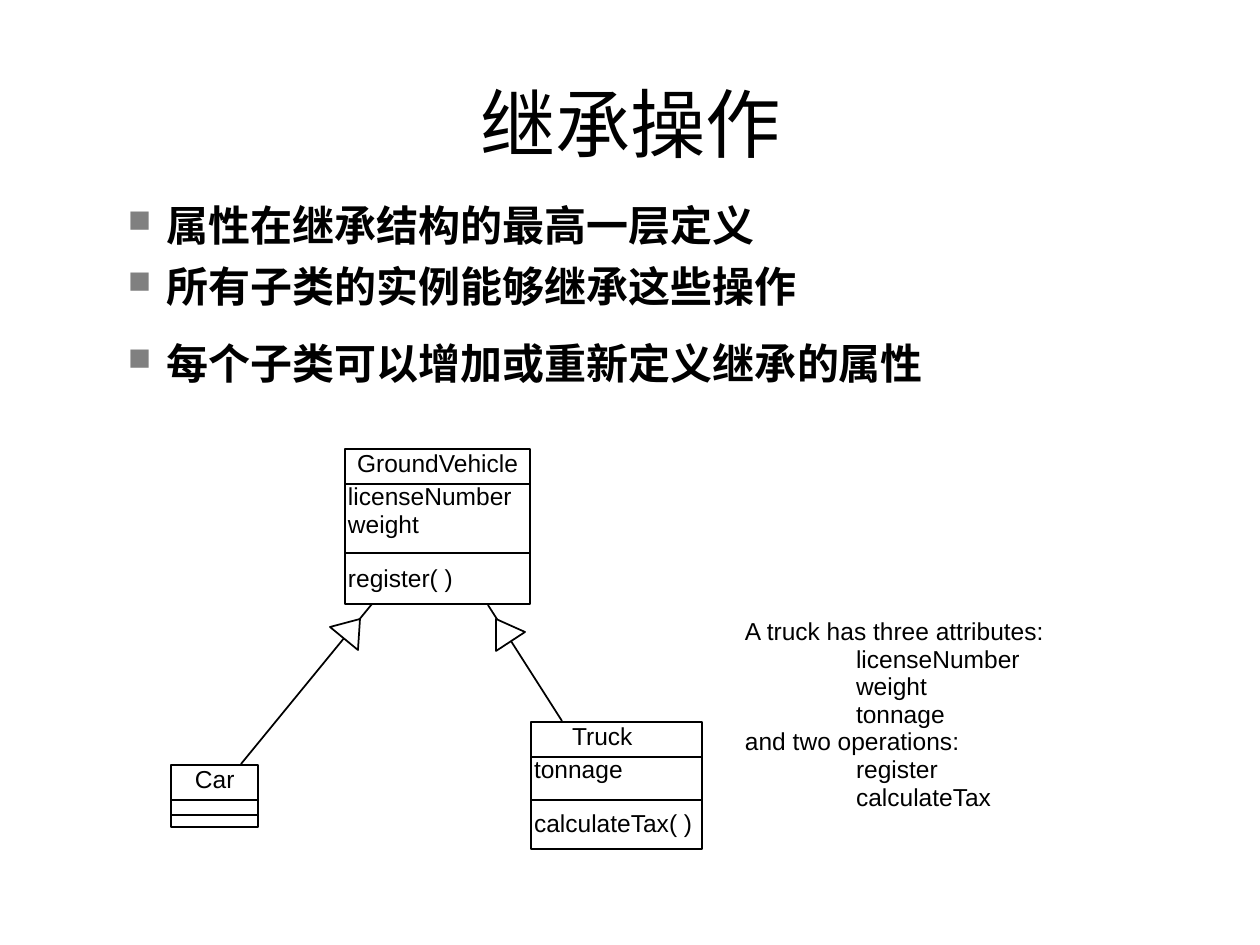
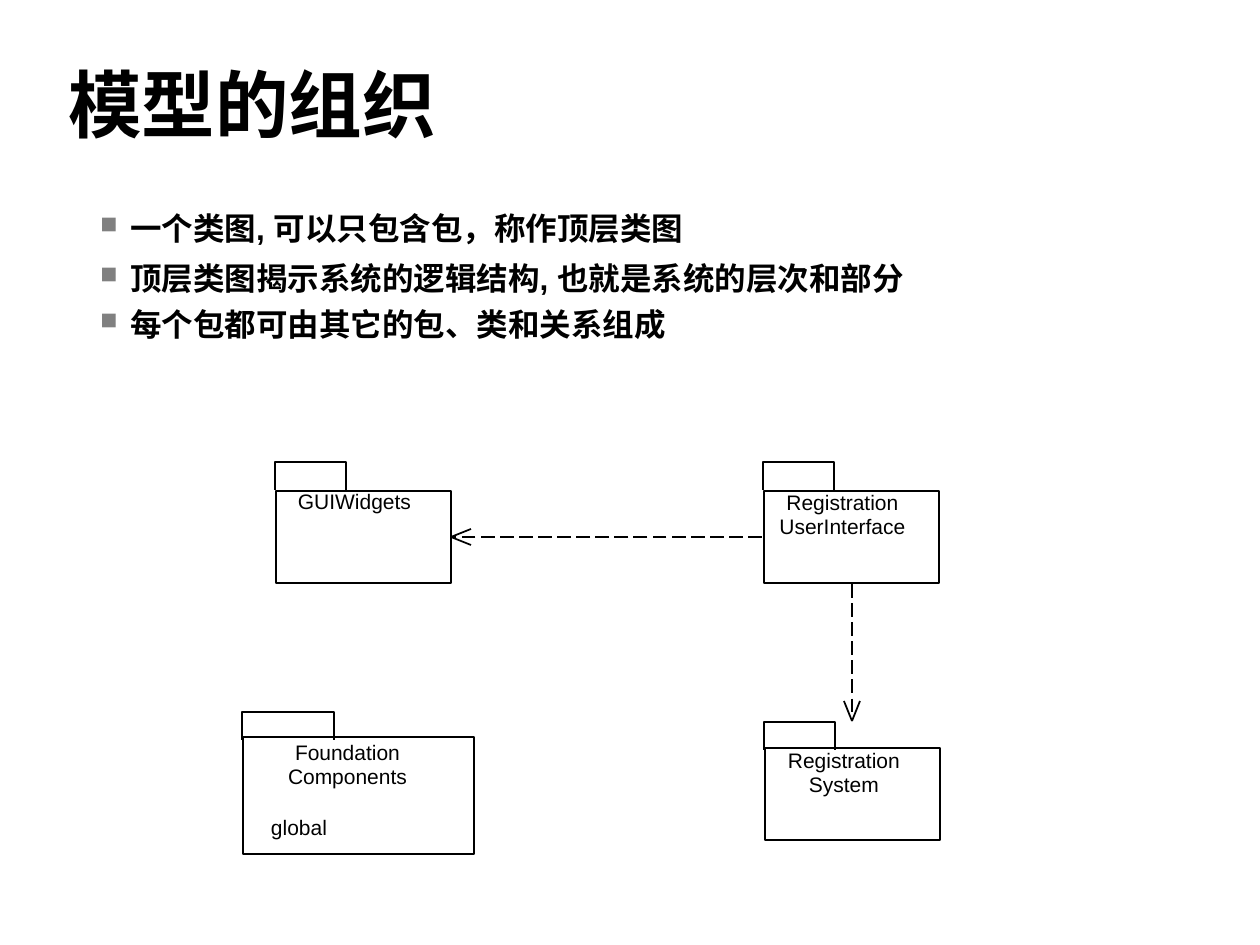
from math import hypot

from lxml.etree import SubElement
from pptx import Presentation
from pptx.dml.color import RGBColor
from pptx.enum.dml import MSO_LINE
from pptx.enum.lang import MSO_LANGUAGE_ID
from pptx.enum.shapes import MSO_CONNECTOR, MSO_SHAPE
from pptx.enum.text import MSO_ANCHOR, MSO_AUTO_SIZE, PP_ALIGN
from pptx.oxml.ns import qn
from pptx.util import Emu, Inches, Pt

EMU_PER_PX = 914400 / 126
COLORS = {"ink": "000000", "paper": "FFFFFF", "bullet": "808080"}
BULLET_CHARACTER, BULLET_PERCENT = "■", 75

# Each point is its text and the space before it in points.
INHERITANCE = {
    "title": {"text": "继承操作", "box": (95, 63, 1071, 105), "font": "Times New Roman",
              "size": 43, "bold": False, "align": PP_ALIGN.CENTER, "spacing": None},
    "bullets": {"box": (88, 215, 1086, 173), "font": "Times New Roman", "size": 24,
                "spacing": 20, "margin": 79, "hanging": 39,
                "points": [("属性在继承结构的最高一层定义", 0),
                           ("所有子类的实例能够继承这些操作", 15),
                           ("每个子类可以增加或重新定义继承的属性", 24)]},
}
CLASSES = [
    {"name": "GroundVehicle", "box": (345, 449, 185, 155), "name_indent": 12,
     "operations_line": 104, "attributes": ["licenseNumber", "weight"],
     "operations": ["register( )"]},
    {"name": "Car", "box": (171, 765, 87, 62), "name_indent": 24,
     "operations_line": 50, "attributes": [], "operations": []},
    {"name": "Truck", "box": (531, 722, 171, 127), "name_indent": 41,
     "operations_line": 78, "attributes": ["tonnage"],
     "operations": ["calculateTax( )"]},
]
GENERALIZATIONS = [
    {"line": ((241, 764), (372, 604)), "triangle": [(360, 619), (358, 650), (330, 627)]},
    {"line": ((562, 721), (488, 605)), "triangle": [(496, 619), (525, 632), (496, 651)]},
]
TRUCK_SUMMARY = [
    ("A truck has three attributes:", ["licenseNumber", "weight", "tonnage"]),
    ("and two operations:", ["register", "calculateTax"]),
]

ORGANIZATION = {
    "title": {"text": "模型的组织", "box": (68, 26, 858, 121), "font": "Arial",
              "size": 42, "bold": True, "align": PP_ALIGN.LEFT, "spacing": 31},
    "bullets": {"box": (68, 215, 1080, 129), "font": "Arial", "size": 18,
                "spacing": 18, "margin": 62, "hanging": 30,
                "points": [("一个类图, 可以只包含包，称作顶层类图", 0),
                           ("顶层类图揭示系统的逻辑结构, 也就是系统的层次和部分", 11),
                           ("每个包都可由其它的包、类和关系组成", 8)]},
}
# The tab of a package is its width and its rise above the body.
PACKAGES = [
    {"label": ["GUIWidgets"], "body": (276, 491, 175, 92), "tab": (71, 29),
     "label_top": 489, "label_width": 157},
    {"label": ["Registration", "UserInterface"], "body": (764, 491, 175, 92),
     "tab": (71, 29), "label_top": 490, "label_width": 157},
    {"label": ["Registration", "System"], "body": (765, 748, 175, 92),
     "tab": (71, 26), "label_top": 748, "label_width": 158},
    {"label": ["Foundation", "Components"], "body": (243, 737, 231, 117),
     "tab": (92, 25), "label_top": 740, "label_width": 209},
]
GLOBAL_NOTE = ("global", (271, 815, 80, 26))
DEPENDENCIES = [((762, 537), (451, 537)), ((852, 584), (852, 721))]


def px(length):
    return Emu(round(length * EMU_PER_PX))


def rgb(name):
    return RGBColor.from_string(COLORS[name])


def style_line(shape):
    shape.line.color.rgb = rgb("ink")
    shape.line.width = Pt(1)


def style_outline(shape, fill=None):
    shape.shadow.inherit = False
    style_line(shape)
    if fill:
        shape.fill.solid()
        shape.fill.fore_color.rgb = rgb(fill)
    else:
        shape.fill.background()


def prepare_frame(text_frame):
    text_frame.margin_left = text_frame.margin_right = 0
    text_frame.margin_top = text_frame.margin_bottom = 0
    text_frame.word_wrap = True
    text_frame.auto_size = MSO_AUTO_SIZE.NONE


def style_font(paragraph, name, size, bold=False):
    for run in paragraph.runs:
        run.font.name = name
        run.font.size = Pt(size)
        run.font.bold = bold
        run.font.color.rgb = rgb("ink")


def mark_chinese(paragraph):
    for run in paragraph.runs:
        run.font.language_id = MSO_LANGUAGE_ID.SIMPLIFIED_CHINESE


def set_indent(paragraph, margin, first_line=0):
    properties = paragraph._p.get_or_add_pPr()
    properties.set("marL", str(px(margin)))
    properties.set("indent", str(px(first_line)))
    return properties


def add_text(slide, lines, box, size, spacing, align=PP_ALIGN.LEFT):
    text_frame = slide.shapes.add_textbox(*map(px, box)).text_frame
    prepare_frame(text_frame)
    text_frame.text = "\n".join(lines)
    for paragraph in text_frame.paragraphs:
        paragraph.alignment = align
        paragraph.line_spacing = Pt(spacing)
        style_font(paragraph, "Arial", size)
    return text_frame


def add_line(slide, start, end, dashed=False):
    connector = slide.shapes.add_connector(
        MSO_CONNECTOR.STRAIGHT, *map(px, (*start, *end)))
    style_line(connector)
    if dashed:
        connector.line.dash_style = MSO_LINE.LONG_DASH
    SubElement(connector._element.spPr, qn("a:effectLst"))


def add_outline(slide, points, close, fill=None):
    builder = slide.shapes.build_freeform(*points[0], scale=EMU_PER_PX)
    builder.add_line_segments(points[1:], close=close)
    style_outline(builder.convert_to_shape(), fill)


def add_rectangle(slide, box):
    style_outline(slide.shapes.add_shape(MSO_SHAPE.RECTANGLE, *map(px, box)))


def add_title(slide, title):
    shape = slide.shapes.title
    shape.left, shape.top, shape.width, shape.height = map(px, title["box"])
    text_frame = shape.text_frame
    prepare_frame(text_frame)
    text_frame.vertical_anchor = MSO_ANCHOR.BOTTOM
    text_frame.text = title["text"]
    paragraph = text_frame.paragraphs[0]
    paragraph.alignment = title["align"]
    if title["spacing"]:
        paragraph.line_spacing = Pt(title["spacing"])
    style_font(paragraph, title["font"], title["size"], title["bold"])
    mark_chinese(paragraph)


def add_bullets(slide, bullets):
    text_frame = slide.shapes.add_textbox(*map(px, bullets["box"])).text_frame
    prepare_frame(text_frame)
    text_frame.text = "\n".join(text for text, _ in bullets["points"])
    for paragraph, (_, space_before) in zip(text_frame.paragraphs, bullets["points"]):
        properties = set_indent(paragraph, bullets["margin"], -bullets["hanging"])
        color = SubElement(properties, qn("a:buClr"))
        SubElement(color, qn("a:srgbClr"), val=COLORS["bullet"])
        SubElement(properties, qn("a:buSzPct"), val=str(BULLET_PERCENT * 1000))
        SubElement(properties, qn("a:buChar"), char=BULLET_CHARACTER)
        paragraph.line_spacing = Pt(bullets["spacing"])
        paragraph.space_before = Pt(space_before)
        style_font(paragraph, bullets["font"], bullets["size"], bold=True)
        mark_chinese(paragraph)


def add_slide(presentation, content):
    slide = presentation.slides.add_slide(presentation.slide_layouts[5])
    slide.background.fill.solid()
    slide.background.fill.fore_color.rgb = rgb("paper")
    add_title(slide, content["title"])
    add_bullets(slide, content["bullets"])
    return slide


def add_class(slide, item):
    left, top, width, height = item["box"]
    add_rectangle(slide, item["box"])
    for offset in (35, item["operations_line"]):
        add_line(slide, (left, top + offset), (left + width, top + offset))
    compartments = [
        ([item["name"]], item["name_indent"], top + 1),
        (item["attributes"], 3, top + 34),
        (item["operations"], 3, top + height - 39),
    ]
    for lines, indent, text_top in compartments:
        if lines:
            box = (left + indent, text_top, width - indent, 28 * len(lines))
            add_text(slide, lines, box, 14, 15.75)


def add_truck_summary(slide):
    lines, indents = [], []
    for heading, members in TRUCK_SUMMARY:
        lines += [heading, *members]
        indents += [0] + [111] * len(members)
    text_frame = add_text(slide, lines, (745, 618, 320, 195), 14, 15.75)
    for paragraph, indent in zip(text_frame.paragraphs, indents):
        set_indent(paragraph, indent)


def add_package(slide, package):
    left, top, width, height = package["body"]
    tab_width, rise = package["tab"]
    tab_left, tab_top = left - 1, top - rise
    tab_right, tab_bottom = tab_left + tab_width, tab_top + 28
    add_rectangle(slide, package["body"])
    add_outline(slide, [(tab_left, tab_bottom), (tab_left, tab_top),
                        (tab_right, tab_top), (tab_right, tab_bottom)], close=False)
    label = package["label"]
    box = (left, package["label_top"], package["label_width"], 25 * len(label))
    add_text(slide, label, box, 12, 14, PP_ALIGN.CENTER)


def add_dependency(slide, start, end, barb_length=20, barb_spread=8):
    """Draw a dashed line that ends in an open arrowhead."""
    add_line(slide, start, end, dashed=True)
    run, rise = end[0] - start[0], end[1] - start[1]
    length = hypot(run, rise)
    along_x, along_y = run / length, rise / length
    for spread in (barb_spread, -barb_spread):
        barb = (end[0] - barb_length * along_x - spread * along_y,
                end[1] - barb_length * along_y + spread * along_x)
        add_line(slide, end, barb)


def build_inheritance_slide(presentation):
    slide = add_slide(presentation, INHERITANCE)
    for item in CLASSES:
        add_class(slide, item)
    add_truck_summary(slide)
    for generalization in GENERALIZATIONS:
        add_line(slide, *generalization["line"])
        add_outline(slide, generalization["triangle"], close=True, fill="paper")


def build_organization_slide(presentation):
    slide = add_slide(presentation, ORGANIZATION)
    for package in PACKAGES:
        add_package(slide, package)
    note, box = GLOBAL_NOTE
    add_text(slide, [note], box, 12, 14)
    for start, end in DEPENDENCIES:
        add_dependency(slide, start, end)


def main():
    presentation = Presentation()
    presentation.slide_width, presentation.slide_height = Inches(10), Inches(7.5)
    build_inheritance_slide(presentation)
    build_organization_slide(presentation)
    presentation.save("out.pptx")


if __name__ == "__main__":
    main()
